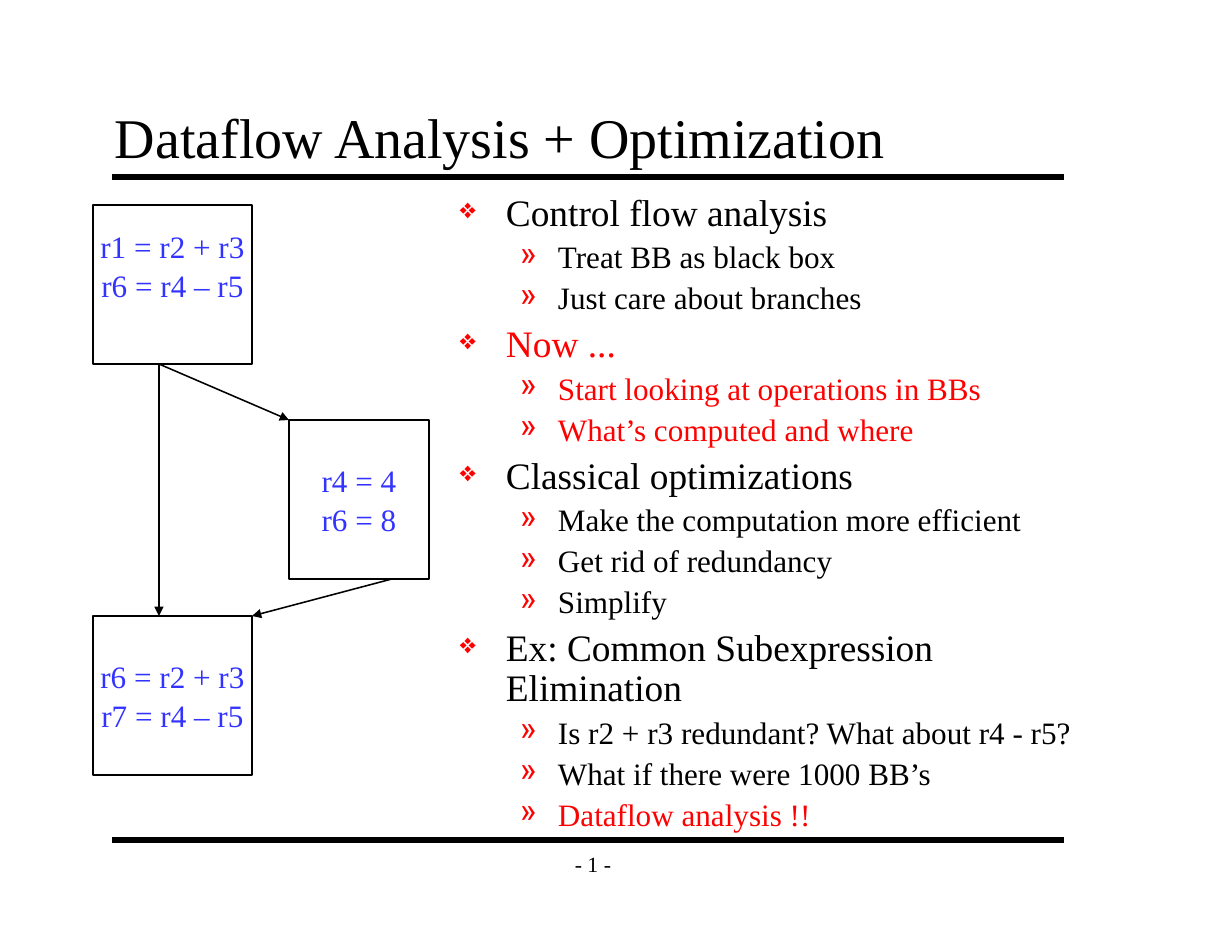
"""Build a slide on dataflow analysis with a small flow graph and a bullet list."""
import pptx
import pptx.dml.color
import pptx.enum.shapes
import pptx.enum.text
import pptx.oxml.ns
import pptx.util
from lxml import etree

BLACK = pptx.dml.color.RGBColor(0, 0, 0)
RED = pptx.dml.color.RGBColor(255, 0, 0)
BLUE = pptx.dml.color.RGBColor(0x33, 0x33, 0xFF)
FONT = "Times New Roman"
ALIGN = pptx.enum.text.PP_ALIGN
ANCHOR = pptx.enum.text.MSO_ANCHOR
BULLETS = [
    (0, "Control flow analysis", BLACK),
    (1, "Treat BB as black box", BLACK),
    (1, "Just care about branches", BLACK),
    (0, "Now ...", RED),
    (1, "Start looking at operations in BBs", RED),
    (1, "What’s computed and where", RED),
    (0, "Classical optimizations", BLACK),
    (1, "Make the computation more efficient", BLACK),
    (1, "Get rid of redundancy", BLACK),
    (1, "Simplify", BLACK),
    (0, "Ex: Common Subexpression Elimination", BLACK),
    (1, "Is r2 + r3 redundant? What about r4 - r5?", BLACK),
    (1, "What if there were 1000 BB’s", BLACK),
    (1, "Dataflow analysis !!", RED),
]
LEVELS = [
    {"mark": "❖", "scale": 75, "left": 46, "hang": 46, "size": 24, "gap": 5.8},
    {"mark": "»", "scale": 100, "left": 98, "hang": 38, "size": 20, "gap": 4.8},
]
BLOCKS = [
    (93, 205, 159, 37, ["r1 = r2 + r3", "r6 = r4 – r5"]),
    (289, 420, 140, 0, ["r4 = 4", "r6 = 8"]),
    (93, 616, 159, 0, ["r6 = r2 + r3", "r7 = r4 – r5"]),
]
EDGES = [(159, 364, 289, 420), (159, 364, 159, 616), (392, 579, 252, 616)]


def px(num):
    return pptx.util.Emu(round(num * 914400 / 112))


def add(node, tag, **attrs):
    return etree.SubElement(node, pptx.oxml.ns.qn(tag), attrs)


def write(para, text, size, color):
    run = para.add_run()
    run.text = text
    run.font.name = FONT
    run.font.size = pptx.util.Pt(size)
    run.font.color.rgb = color


def set_frame(frame, anchor, wrap=True):
    frame.auto_size = pptx.enum.text.MSO_AUTO_SIZE.NONE
    frame.word_wrap = wrap
    frame.vertical_anchor = anchor
    frame.margin_left = frame.margin_right = px(12)
    frame.margin_top = frame.margin_bottom = px(7)


def next_para(frame, index):
    return frame.add_paragraph() if index else frame.paragraphs[0]


def add_line(slide, ends, width, arrow=False):
    kind = pptx.enum.shapes.MSO_CONNECTOR.STRAIGHT
    line = slide.shapes.add_connector(kind, *map(px, ends))
    line.line.color.rgb = BLACK
    line.line.width = pptx.util.Pt(width)
    if arrow:
        add(line.line._get_or_add_ln(), "a:tailEnd", type="triangle")
    add(line._element.spPr, "a:effectLst")


def add_title(slide):
    title = slide.shapes.title
    title.left, title.top, title.width, title.height = map(px, (103, 102, 952, 75))
    set_frame(title.text_frame, ANCHOR.BOTTOM)
    para = title.text_frame.paragraphs[0]
    para.alignment = ALIGN.LEFT
    write(para, "Dataflow Analysis + Optimization", 36, BLACK)


def add_page(slide):
    box = slide.shapes.add_textbox(*map(px, (551, 840, 84, 47)))
    set_frame(box.text_frame, ANCHOR.MIDDLE, False)
    para = box.text_frame.paragraphs[0]
    para.alignment = ALIGN.CENTER
    write(para, "- 1 -", 14, BLACK)


def add_list(slide):
    box = slide.shapes.add_textbox(*map(px, (448, 187, 663, 638)))
    set_frame(box.text_frame, ANCHOR.TOP)
    for index, (level, text, color) in enumerate(BULLETS):
        style = LEVELS[level]
        para = next_para(box.text_frame, index)
        para.level = level
        para.line_spacing = 0.9
        para.space_before = pptx.util.Pt(style["gap"] if index else 0)
        props = para._p.get_or_add_pPr()
        props.set("marL", str(px(style["left"])))
        props.set("indent", str(-px(style["hang"])))
        add(add(props, "a:buClr"), "a:srgbClr", val=str(RED))
        add(props, "a:buSzPct", val=str(style["scale"] * 1000))
        add(props, "a:buChar", char=style["mark"])
        write(para, text, style["size"], color)


def add_block(slide, left, top, width, lift, lines):
    kind = pptx.enum.shapes.MSO_SHAPE.RECTANGLE
    box = slide.shapes.add_shape(kind, *map(px, (left, top, width, 159)))
    box.shadow.inherit = False
    box.fill.background()
    box.line.color.rgb = BLACK
    box.line.width = pptx.util.Pt(1)
    set_frame(box.text_frame, ANCHOR.MIDDLE, False)
    box.text_frame.margin_bottom = px(7 + lift)
    for index, text in enumerate(lines):
        para = next_para(box.text_frame, index)
        para.alignment = ALIGN.CENTER
        para.space_before = pptx.util.Pt(index)
        write(para, text, 20, BLUE)


def main():
    deck = pptx.Presentation()
    deck.slide_width, deck.slide_height = px(1232), px(952)
    slide = deck.slides.add_slide(deck.slide_layouts[5])
    for top in (177, 840):
        add_line(slide, (112, top, 1064, top), 4)
    add_page(slide)
    add_title(slide)
    add_list(slide)
    for block in BLOCKS:
        add_block(slide, *block)
    for edge in EDGES:
        add_line(slide, edge, 1, True)
    deck.save("out.pptx")


if __name__ == "__main__":
    main()
